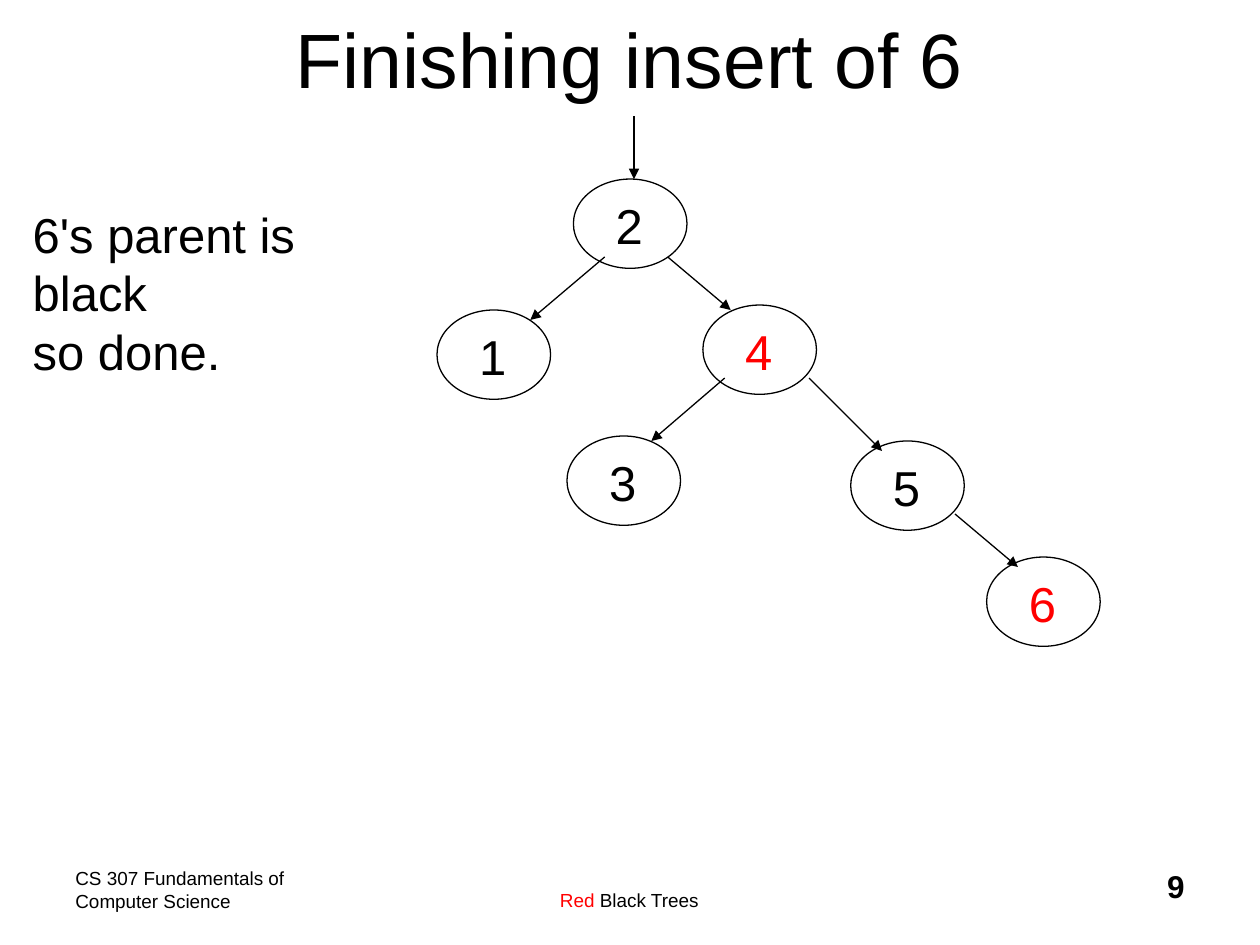
from lxml.etree import SubElement
from pptx import Presentation
from pptx.dml.color import RGBColor
from pptx.enum.shapes import MSO_CONNECTOR, MSO_SHAPE
from pptx.enum.text import MSO_ANCHOR, MSO_AUTO_SIZE, PP_ALIGN
from pptx.oxml.ns import qn
from pptx.util import Cm, Pt

COLORS = {"black": "000000", "red": "FF0000", "background": "FFFFFF"}
FONT = "Arial"
NODE_WIDTH, NODE_HEIGHT = 2.29, 1.8

# Value, left and top in cm, colour
NODES = [
    ("2", 11.56, 3.61, "black"),
    ("1", 8.81, 6.25, "black"),
    ("4", 14.17, 6.15, "red"),
    ("3", 11.43, 8.79, "black"),
    ("5", 17.15, 8.89, "black"),
    ("6", 19.89, 11.23, "red"),
]

# Start and end points in cm
ARROWS = [
    (12.78, 2.34, 12.78, 3.61),    # into the root
    (13.46, 5.18, 14.73, 6.25),    # 2 to 4
    (12.19, 5.18, 10.69, 6.45),    # 2 to 1
    (16.31, 7.62, 17.78, 9.09),    # 4 to 5
    (14.61, 7.62, 13.13, 8.89),    # 4 to 3
    (19.25, 10.36, 20.52, 11.43),  # 5 to 6
]


def color(name):
    return RGBColor.from_string(COLORS[name])


def add_text(shapes, box, runs, size, align=PP_ALIGN.LEFT, bold=False):
    """Add a wrapped text box; runs are (text, colour name) pairs."""
    shape = shapes.add_textbox(*map(Cm, box))
    shape.text_frame.word_wrap = True
    paragraph = shape.text_frame.paragraphs[0]
    paragraph.alignment = align
    for text, color_name in runs:
        for index, line in enumerate(text.split("\n")):
            if index:
                paragraph.add_line_break()
            run = paragraph.add_run()
            run.text = line
            run.font.name = FONT
            run.font.size = Pt(size)
            run.font.bold = bold
            run.font.color.rgb = color(color_name)
    return shape


def add_label(shapes, box, text, color_name):
    """Add a large text box that fits its unwrapped text."""
    text_frame = add_text(shapes, box, [(text, color_name)], 28).text_frame
    text_frame.word_wrap = False
    text_frame.auto_size = MSO_AUTO_SIZE.SHAPE_TO_FIT_TEXT
    text_frame.paragraphs[0].space_before = Pt(7)


def add_node(slide, value, left, top, color_name):
    """Add a tree node: an outlined ellipse grouped with its value."""
    shapes = slide.shapes.add_group_shape().shapes
    ellipse = shapes.add_shape(
        MSO_SHAPE.OVAL, Cm(left), Cm(top), Cm(NODE_WIDTH), Cm(NODE_HEIGHT))
    ellipse.shadow.inherit = False
    ellipse.fill.background()
    ellipse.line.color.rgb = color("black")
    ellipse.line.width = Pt(0.75)
    add_label(shapes, (left + 0.6, top + 0.2, 1.04, 1.45), value, color_name)


def add_arrow(slide, *points):
    connector = slide.shapes.add_connector(
        MSO_CONNECTOR.STRAIGHT, *map(Cm, points))
    connector.line.color.rgb = color("black")
    connector.line.width = Pt(0.75)
    SubElement(connector.line._get_or_add_ln(), qn("a:tailEnd"), type="triangle")
    SubElement(connector._element.spPr, qn("a:effectLst"))


def add_footer(slide):
    top, height = 17.35, 1.27
    add_text(slide.shapes, (1.27, top, 6.35, height),
             [("CS 307 Fundamentals of Computer Science", "black")], 10.8)
    topic = add_text(slide.shapes, (7.82, top, 9.73, height),
                     [("Red", "red"), (" Black Trees", "black")], 10.8,
                     PP_ALIGN.CENTER)
    topic.text_frame.margin_top = Cm(0.57)  # level with the course's second line
    add_text(slide.shapes, (18.85, top, 5.28, height), [("9", "black")], 18,
             PP_ALIGN.RIGHT, bold=True)


def main():
    presentation = Presentation()
    presentation.slide_width = Cm(25.4)
    presentation.slide_height = Cm(19.05)
    slide = presentation.slides.add_slide(presentation.slide_layouts[6])
    slide.background.fill.solid()
    slide.background.fill.fore_color.rgb = color("background")

    # Footer and title
    add_footer(slide)
    title = add_text(slide.shapes, (1.9, -0.43, 21.59, 3.18),
                     [("Finishing insert of 6", "black")], 44, PP_ALIGN.CENTER)
    title.text_frame.vertical_anchor = MSO_ANCHOR.MIDDLE

    # Tree
    for node in NODES:
        add_node(slide, *node)
    for arrow in ARROWS:
        add_arrow(slide, *arrow)

    # Explanation
    add_label(slide.shapes, (0.41, 3.99, 8.36, 2.64),
              "6's parent is black\nso done.", "black")

    presentation.save("out.pptx")


if __name__ == "__main__":
    main()
